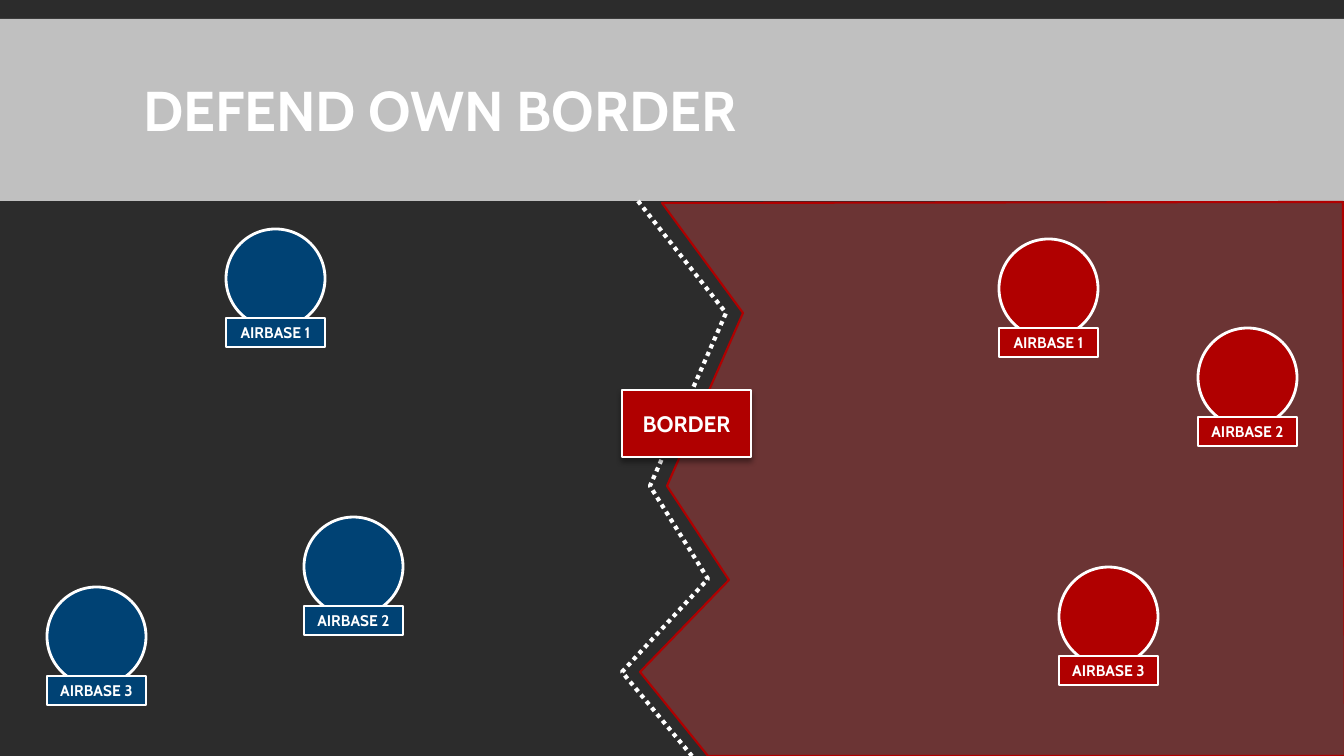
import pptx
import pptx.util
import pptx.dml.color
import pptx.enum.dml
import pptx.enum.shapes
import pptx.enum.text
import pptx.oxml
import pptx.oxml.ns
import lxml.etree

PX = 914400 / 100.8
RGBColor = pptx.dml.color.RGBColor
WHITE = RGBColor(0xFF, 0xFF, 0xFF)
DARK = RGBColor(0x2C, 0x2C, 0x2C)
BLUE = RGBColor(0x00, 0x42, 0x74)
RED = RGBColor(0xB0, 0x00, 0x00)
ENEMY_TINT = RGBColor(0xFF, 0x47, 0x47)
MSO_SHAPE = pptx.enum.shapes.MSO_SHAPE
PP_ALIGN = pptx.enum.text.PP_ALIGN
MSO_ANCHOR = pptx.enum.text.MSO_ANCHOR
MSO_AUTO_SIZE = pptx.enum.text.MSO_AUTO_SIZE


def style_shape(shape, fill, line_color, line_width, opacity=100):
    shape.shadow.inherit = False
    if fill is None:
        shape.fill.background()
    else:
        shape.fill.solid()
        shape.fill.fore_color.rgb = fill
        if opacity < 100:
            color = shape.fill._xPr.find(".//" + pptx.oxml.ns.qn("a:srgbClr"))
            alpha = lxml.etree.SubElement(color, pptx.oxml.ns.qn("a:alpha"))
            alpha.set("val", str(opacity * 1000))
    if line_color is None:
        shape.line.fill.background()
    else:
        shape.line.color.rgb = line_color
        shape.line.width = pptx.util.Pt(line_width)


def write_text(shape, text, size, alignment):
    text_frame = shape.text_frame
    text_frame.text = text
    text_frame.word_wrap = True
    text_frame.vertical_anchor = MSO_ANCHOR.MIDDLE
    paragraph = text_frame.paragraphs[0]
    paragraph.alignment = alignment
    font = paragraph.runs[0].font
    font.name = "Cabin"
    font.size = pptx.util.Pt(size)
    font.bold = True
    font.color.rgb = WHITE


presentation = pptx.Presentation()
presentation.slide_width = round(1344 * PX)
presentation.slide_height = round(756 * PX)
slide = presentation.slides.add_slide(presentation.slide_layouts[5])
slide.background.fill.solid()
slide.background.fill.fore_color.rgb = DARK
shapes = slide.shapes

title_band = shapes.add_shape(
    MSO_SHAPE.RECTANGLE, 0, *[round(n * PX) for n in (19, 1344, 182)])
style_shape(title_band, WHITE, None, 0, opacity=70)

territory_points = [(662, 203), (743, 313), (667, 486), (729, 580),
                    (640, 672), (708, 756), (1345, 756), (1343, 202)]
builder = shapes.build_freeform(*territory_points[0], scale=PX)
builder.add_line_segments(territory_points[1:], close=True)
style_shape(builder.convert_to_shape(), ENEMY_TINT, RED, 1.5, opacity=30)

title = shapes.title
title.left, title.top, title.width, title.height = [
    round(n * PX) for n in (133, 31, 1079, 166)]
write_text(title, "DEFEND OWN BORDER", 40, PP_ALIGN.LEFT)
title.text_frame.auto_size = MSO_AUTO_SIZE.NONE
title.text_frame.paragraphs[0].line_spacing = 0.85
shapes._spTree.append(title._element)

airbases = [
    ("AIRBASE 3", BLUE, 47, 587),
    ("AIRBASE 1", BLUE, 226, 229),
    ("AIRBASE 2", BLUE, 304, 517),
    ("AIRBASE 1", RED, 999, 239),
    ("AIRBASE 2", RED, 1198, 328),
    ("AIRBASE 3", RED, 1059, 567),
]
for name, color, left, top in airbases:
    circle = shapes.add_shape(
        MSO_SHAPE.OVAL, *[round(n * PX) for n in (left, top, 99, 99)])
    style_shape(circle, color, WHITE, 2)
    label = shapes.add_shape(
        MSO_SHAPE.RECTANGLE, *[round(n * PX) for n in (left, top + 89, 99, 29)])
    style_shape(label, color, WHITE, 2)
    write_text(label, name, 11, PP_ALIGN.CENTER)
    label.text_frame.auto_size = MSO_AUTO_SIZE.SHAPE_TO_FIT_TEXT

border_points = [(638, 201), (726, 313), (650, 486),
                 (708, 579), (622, 672), (692, 756)]
builder = shapes.build_freeform(*border_points[0], scale=PX)
builder.add_line_segments(border_points[1:], close=False)
border_line = builder.convert_to_shape()
style_shape(border_line, None, WHITE, 3)
border_line.line.dash_style = pptx.enum.dml.MSO_LINE.ROUND_DOT

border_label = shapes.add_shape(
    MSO_SHAPE.RECTANGLE, *[round(n * PX) for n in (622, 390, 129, 67)])
style_shape(border_label, RED, WHITE, 1.5)
write_text(border_label, "BORDER", 16, PP_ALIGN.CENTER)
effects = border_label._element.spPr.find(pptx.oxml.ns.qn("a:effectLst"))
effects.append(pptx.oxml.parse_xml(
    f'<a:outerShdw {pptx.oxml.ns.nsdecls("a")} blurRad="50800" dist="38100" '
    'dir="5400000" algn="t" rotWithShape="0"><a:srgbClr val="000000">'
    '<a:alpha val="40000"/></a:srgbClr></a:outerShdw>'))

presentation.save("out.pptx")
